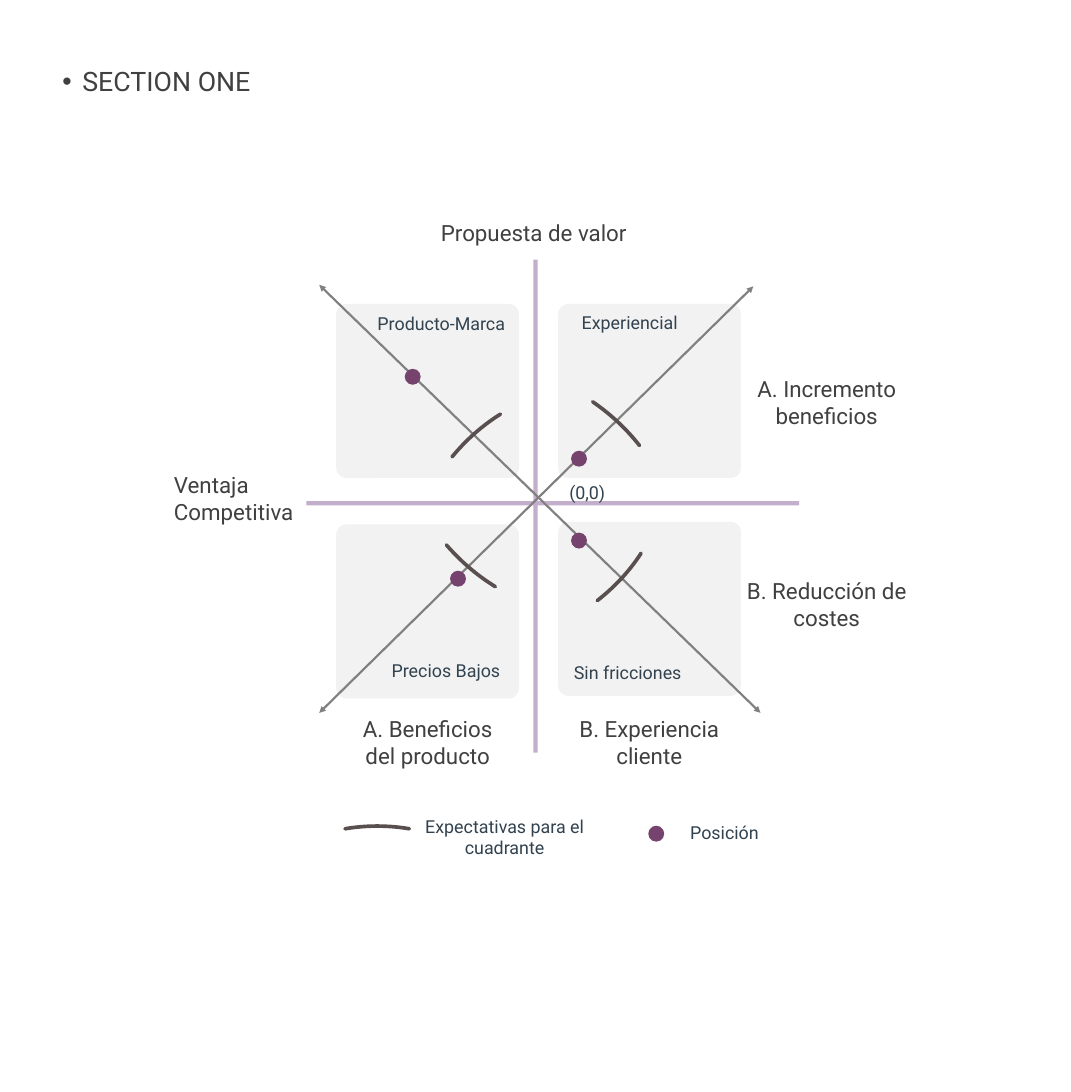
import pptx
import pptx.util
import pptx.dml.color
import pptx.enum.shapes
import pptx.enum.text
import pptx.oxml.ns
import lxml.etree

SCALE = 9144
FONT = "Roboto"
INK, SLATE, PLUM = "404040", "32424F", "75436E"
PANEL, LILAC, GREY, BROWN = "F2F2F2", "C3AFCC", "808080", "594F4F"
SHAPE = pptx.enum.shapes.MSO_SHAPE
ALIGN = pptx.enum.text.PP_ALIGN
ANCHOR = pptx.enum.text.MSO_ANCHOR
FIT = pptx.enum.text.MSO_AUTO_SIZE


def px(n):
    return pptx.util.Emu(n * SCALE)


def color(text):
    return pptx.dml.color.RGBColor.from_string(text)


def add(parent, tag, **attrs):
    return lxml.etree.SubElement(parent, pptx.oxml.ns.qn(tag), attrs)


def style(frame, size, ink, align):
    for par in frame.paragraphs:
        par.alignment = align
        for run in par.runs:
            run.font.size = pptx.util.Pt(size)
            run.font.name = FONT
            run.font.color.rgb = color(ink)


def label(slide, text, x, y, w, h, size=25, ink=SLATE,
          align=ALIGN.CENTER, anchor=ANCHOR.MIDDLE, pad=(0, 0)):
    frame = slide.shapes.add_textbox(px(x), px(y), px(w), px(h)).text_frame
    frame.word_wrap = True
    frame.auto_size = FIT.SHAPE_TO_FIT_TEXT
    frame.vertical_anchor = anchor
    frame.margin_left = frame.margin_right = px(pad[0])
    frame.margin_top = frame.margin_bottom = px(pad[1])
    frame.text = text
    style(frame, size, ink, align)


def block(slide, kind, x, y, w, h, fill):
    shape = slide.shapes.add_shape(kind, px(x), px(y), px(w), px(h))
    shape.shadow.inherit = False
    shape.fill.solid()
    shape.fill.fore_color.rgb = color(fill)
    shape.line.fill.background()
    return shape


def dot(slide, x, y):
    block(slide, SHAPE.OVAL, x, y, 31, 31, PLUM)


def arc(slide, x, y, points):
    spots = [(px(x + a), px(y + b)) for a, b in points]
    pen = slide.shapes.build_freeform(*spots[0], scale=1.0)
    pen.add_line_segments(spots[1:], close=False)
    shape = pen.convert_to_shape()
    shape.shadow.inherit = False
    shape.fill.background()
    shape.line.color.rgb = color(BROWN)
    shape.line.width = pptx.util.Pt(5.13)
    shape.line._get_or_add_ln().set("cap", "rnd")
    route = shape._element.spPr.find(".//" + pptx.oxml.ns.qn("a:path"))
    steps = route.findall(pptx.oxml.ns.qn("a:lnTo"))
    curve = add(route, "a:cubicBezTo")
    for step in steps:
        curve.append(step[0])
        route.remove(step)


def arrow(slide, x, y, start, end):
    line = slide.shapes.add_connector(
        pptx.enum.shapes.MSO_CONNECTOR.STRAIGHT,
        px(x + start[0]), px(y + start[1]), px(x + end[0]), px(y + end[1]))
    line.line.color.rgb = color(GREY)
    line.line.width = pptx.util.Pt(3)
    edge = line.line._get_or_add_ln()
    add(edge, "a:headEnd", type="triangle")
    add(edge, "a:tailEnd", type="triangle")
    add(line._element.spPr, "a:effectLst")


def heading(slide, x, y, w, h):
    title = slide.shapes.title
    title._element.getparent().remove(title._element)
    body = slide.placeholders[1]
    body.left, body.top, body.width, body.height = map(px, (x, y, w, h))
    frame = body.text_frame
    frame.text = "SECTION ONE"
    frame.auto_size = FIT.NONE
    frame.vertical_anchor = ANCHOR.TOP
    style(frame, 37.4, INK, ALIGN.LEFT)
    par = frame.paragraphs[0]
    par.line_spacing = 0.9
    par.space_before = pptx.util.Pt(15.6)
    props = par._p.get_or_add_pPr()
    props.set("marL", str(px(39)))
    props.set("indent", str(-px(39)))
    add(props, "a:buChar", char="•")


def sides(slide, x, y):
    for text, a, b, w, h, align, pad in [
            ("A. Beneficios\ndel producto", 320, 984, 421, 115, ALIGN.CENTER, (10, 5)),
            ("B. Experiencia cliente", 801, 984, 320, 115, ALIGN.CENTER, (10, 5)),
            ("A. Incremento beneficios", 1138, 328, 335, 105, ALIGN.CENTER, (0, 0)),
            ("B. Reducción de costes", 1138, 720, 335, 105, ALIGN.CENTER, (0, 0)),
            ("Propuesta de valor", 517, 21, 439, 63, ALIGN.CENTER, (10, 5)),
            ("Ventaja Competitiva", 28, 510, 320, 115, ALIGN.LEFT, (10, 5))]:
        label(slide, text, x + a, y + b, w, h, 31.2, INK, align, ANCHOR.TOP, pad)


def matrix(slide, x, y):
    for text, panel, spot in [
            ("Experiencial", (584, 90), (591, 104)),
            ("Producto-Marca", (153, 90), (225, 106)),
            ("Precios Bajos", (153, 518), (234, 781)),
            ("Sin fricciones", (584, 513), (587, 785))]:
        card = block(slide, SHAPE.ROUNDED_RECTANGLE,
                     x + panel[0], y + panel[1], 355, 338, PANEL)
        card.adjustments[0] = 0.06
        label(slide, text, x + spot[0], y + spot[1], 264, 42)
    block(slide, SHAPE.RECTANGLE, x + 95, y + 473, 957, 8, LILAC)
    block(slide, SHAPE.RECTANGLE, x + 536, y + 4, 8, 957, LILAC)
    label(slide, "(0,0)", x + 584, y + 434, 113, 42)
    arrow(slide, x, y, (120, 53), (977, 884))
    arrow(slide, x, y, (120, 884), (963, 56))
    for a, b in [(286, 216), (374, 608), (609, 375), (609, 534)]:
        dot(slide, x + a, y + b)
    for points in [
            [(378, 387), (405, 354), (437, 326), (472, 304)],
            [(651, 280), (686, 304), (717, 333), (742, 365)],
            [(745, 574), (722, 610), (692, 641), (660, 666)],
            [(462, 639), (426, 617), (394, 589), (367, 558)]]:
        arc(slide, x, y, points)


def legend(slide, x, y):
    arc(slide, x, y, [(70, 109), (111, 102), (154, 102), (195, 109)])
    label(slide, "Expectativas para el cuadrante", x + 220, y + 83, 320, 84)
    dot(slide, x + 659, y + 103)
    label(slide, "Posición", x + 647, y + 94, 320, 42)


def main():
    deck = pptx.Presentation()
    deck.slide_width, deck.slide_height = px(2080), px(2120)
    slide = deck.slides.add_slide(deck.slide_layouts[1])
    heading(slide, 111, 128, 1861, 48)
    sides(slide, 300, 400)
    matrix(slide, 500, 500)
    legend(slide, 600, 1500)
    deck.save("out.pptx")


if __name__ == "__main__":
    main()
